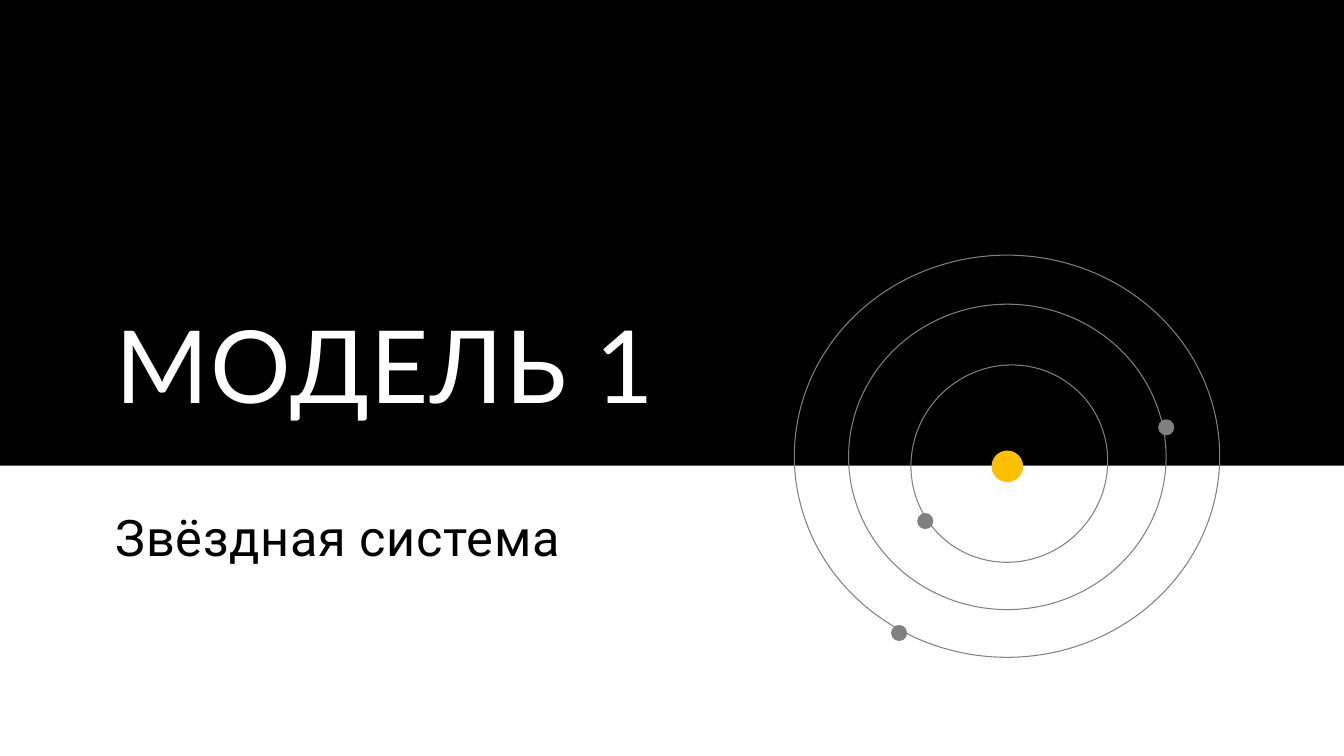
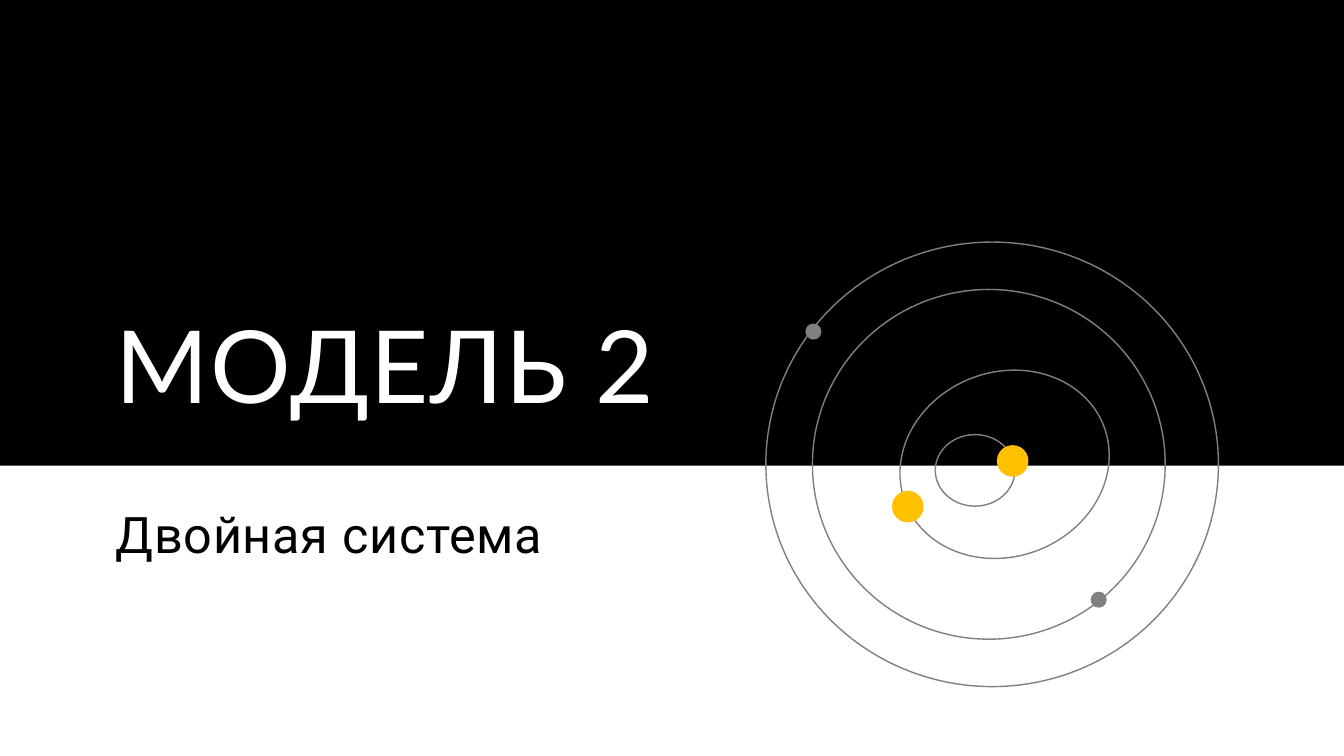
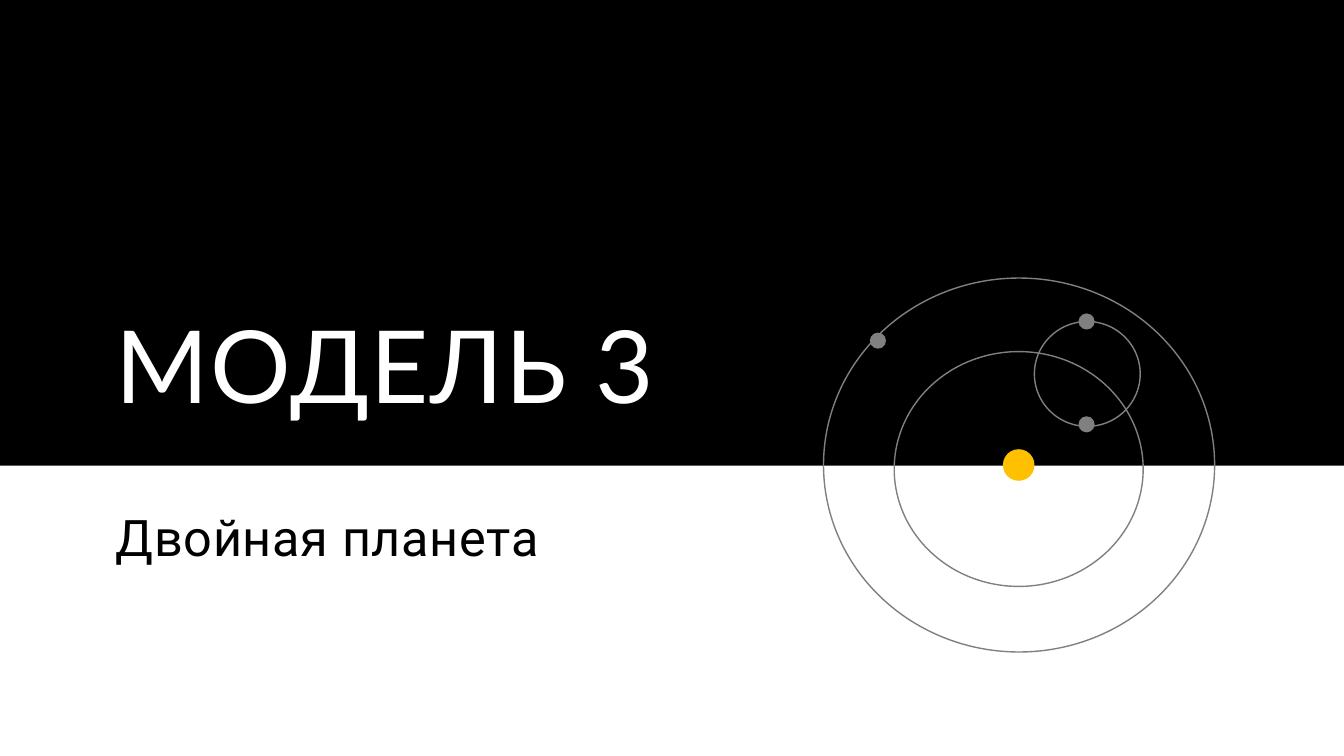
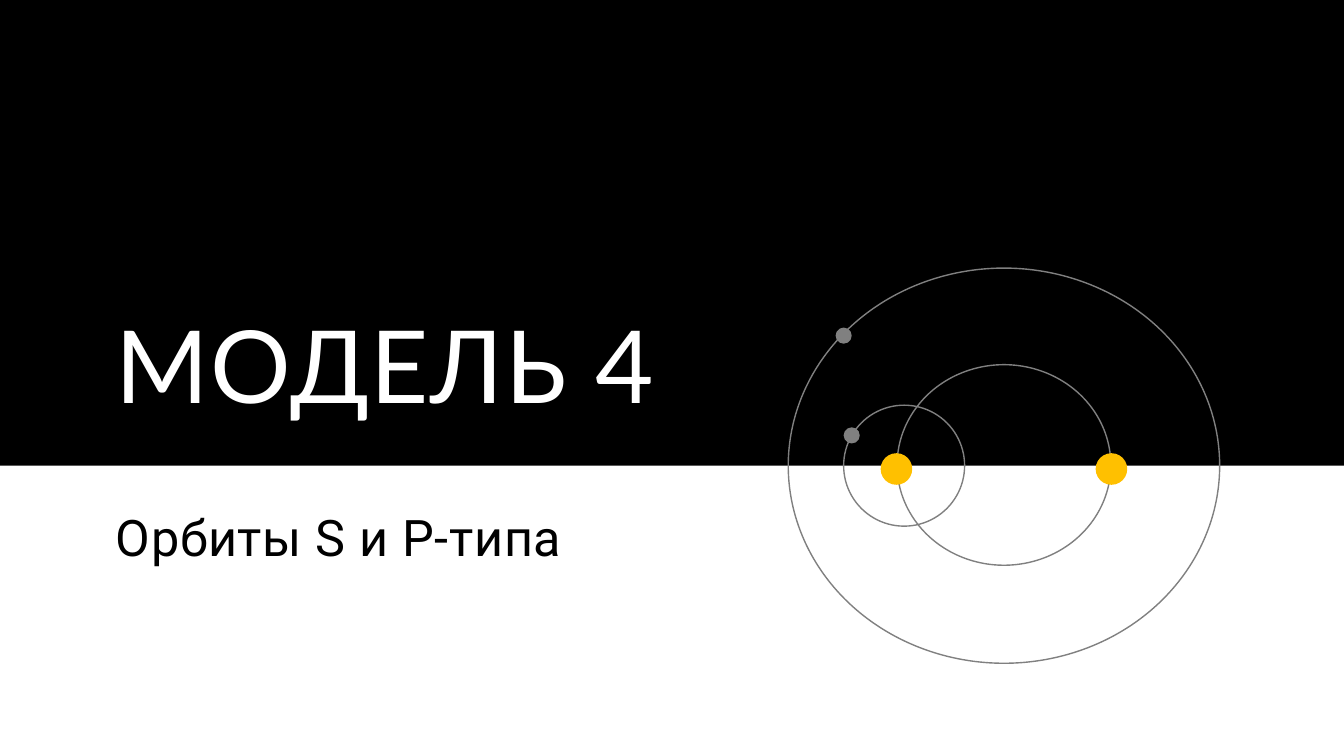
from pptx import Presentation
from pptx.dml.color import RGBColor
from pptx.enum.shapes import MSO_SHAPE
from pptx.enum.text import MSO_ANCHOR
from pptx.util import Inches, Pt

RECT = MSO_SHAPE.RECTANGLE
OVAL = MSO_SHAPE.OVAL
TOP = MSO_ANCHOR.TOP
LOW = MSO_ANCHOR.BOTTOM

WIDE, HIGH = 13.333, 7.5
COLS = 40
CELL = WIDE / COLS


def cell(count):
    """Turn a count of grid cells into a length."""
    return Inches(count * CELL)


def paint(code):
    """Turn a hex string into a colour."""
    return RGBColor.from_string(code)


class Deck:
    """Hold the style and the current slide."""

    BLACK, WHITE, GREY, GOLD = "000000", "FFFFFF", "808080", "FFC000"
    LEFT, SPAN, BAND = 3.15, 33.69, 13.86
    SUN, DOT = 0.94, 0.48

    def __init__(self):
        """Open an empty deck."""
        self.deck = Presentation()
        self.deck.slide_width = Inches(WIDE)
        self.deck.slide_height = Inches(HIGH)
        self.slide = None

    def page(self, title, text, row=14.91):
        """Add a slide with its band, title and subtitle."""
        self.slide = self.deck.slides.add_slide(self.deck.slide_layouts[6])
        fill = self.slide.background.fill
        fill.solid()
        fill.fore_color.rgb = paint(self.WHITE)
        self.shape(RECT, 0, 0, COLS, self.BAND, self.BLACK)
        self.text(title, 2.52, 10.29, LOW, "Lato", 72, self.WHITE, 1.2, 0.9)
        self.text(text, row, 5.07, TOP, "Roboto", 36, self.BLACK, 0.5, 1.01)

    def text(self, words, row, tall, anchor, font, size, tint, gap, lead):
        """Add one line of text in the shared column."""
        box = self.slide.shapes.add_textbox(
            cell(self.LEFT), cell(row), cell(self.SPAN), cell(tall))
        frame = box.text_frame
        frame.word_wrap = True
        frame.vertical_anchor = anchor
        para = frame.paragraphs[0]
        para.line_spacing = lead
        run = para.add_run()
        run.text = words
        run.font.name = font
        run.font.size = Pt(size)
        run.font.color.rgb = paint(tint)
        run._r.get_or_add_rPr().set("spc", str(round(gap * 100)))

    def shape(self, kind, left, top, wide, tall, tint=None):
        """Add a preset shape without outline."""
        item = self.slide.shapes.add_shape(
            kind, cell(left), cell(top), cell(wide), cell(tall))
        item.shadow.inherit = False
        item.line.fill.background()
        if tint:
            item.fill.solid()
            item.fill.fore_color.rgb = paint(tint)
        else:
            item.fill.background()
        return item

    def oval(self, x, y, wide, tall, tint=None):
        """Add an ellipse around its centre."""
        return self.shape(OVAL, x - wide / 2, y - tall / 2, wide, tall, tint)

    def orbit(self, x, y, wide, tall, turn=0, line=1):
        """Add an orbit outline."""
        ring = self.oval(x, y, wide, tall)
        ring.rotation = turn
        ring.line.color.rgb = paint(self.GREY)
        ring.line.width = Pt(line)

    def star(self, x, y):
        """Add a star."""
        self.oval(x, y, self.SUN, self.SUN, self.GOLD)

    def planet(self, x, y):
        """Add a planet."""
        self.oval(x, y, self.DOT, self.DOT, self.GREY)

    def save(self):
        """Write the deck."""
        self.deck.save("out.pptx")


def single(deck):
    """Draw one star with three planets."""
    deck.page("МОДЕЛЬ 1", "Звёздная система")
    deck.star(29.98, 13.88)
    deck.orbit(30.04, 13.8, 5.79, 5.94, 41.8, 0.75)
    deck.planet(27.54, 15.51)
    deck.orbit(29.98, 13.6, 9.45, 9.09, line=0.75)
    deck.orbit(29.97, 13.58, 12.66, 11.97, line=0.75)
    deck.planet(26.76, 18.84)
    deck.planet(34.71, 12.72)


def double(deck):
    """Draw two stars with two outer planets."""
    deck.page("МОДЕЛЬ 2", "Двойная система", 14.82)
    deck.orbit(29.53, 13.82, 13.47, 13.23)
    deck.orbit(29.9, 13.82, 6.33, 5.49, 339)
    deck.star(27.02, 15.08)
    deck.orbit(29.02, 14, 2.37, 2.13)
    deck.planet(24.21, 9.87)
    deck.star(30.14, 13.72)
    deck.orbit(29.43, 13.82, 10.5, 10.41)
    deck.planet(32.7, 17.85)


def pair(deck):
    """Draw one star with a double planet."""
    deck.page("МОДЕЛЬ 3", "Двойная планета")
    deck.orbit(32.36, 11.13, 3.15, 3.12)
    deck.orbit(30.32, 13.96, 7.41, 6.99)
    deck.orbit(30.33, 13.84, 11.64, 11.13)
    deck.star(30.32, 13.84)
    deck.planet(26.13, 10.14)
    for y in (12.63, 9.57):
        deck.planet(32.34, y)


def types(deck):
    """Draw the inner and outer orbits of a double star."""
    deck.page("МОДЕЛЬ 4", "Орбиты S и P-типа")
    deck.orbit(29.88, 13.86, 12.84, 11.76)
    deck.orbit(29.88, 13.84, 6.36, 5.97)
    for x in (26.68, 33.08):
        deck.star(x, 13.96)
    deck.orbit(26.91, 13.86, 3.6, 3.6)
    deck.planet(25.11, 9.99)
    deck.planet(25.35, 12.96)


def main():
    """Build the four slides."""
    deck = Deck()
    for draw in (single, double, pair, types):
        draw(deck)
    deck.save()


if __name__ == "__main__":
    main()
